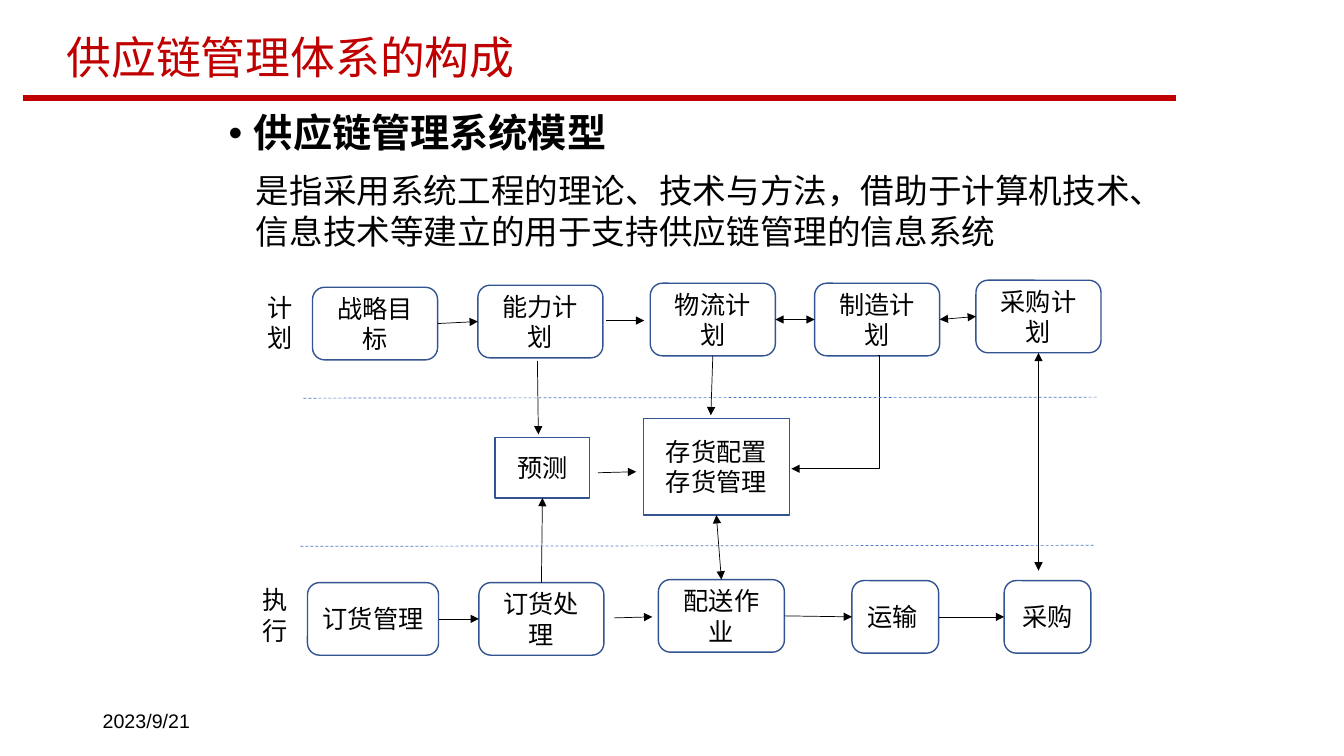
"""Build the slide on the makeup of a supply chain management system."""
from lxml import etree
from pptx import Presentation
from pptx.dml.color import RGBColor
from pptx.enum.dml import MSO_LINE
from pptx.enum.shapes import MSO_CONNECTOR, MSO_SHAPE
from pptx.enum.text import MSO_ANCHOR, MSO_AUTO_SIZE, PP_ALIGN
from pptx.oxml.ns import qn
from pptx.util import Pt

PX = 9144
STRAIGHT, ELBOW = MSO_CONNECTOR.STRAIGHT, MSO_CONNECTOR.ELBOW
ROUND, RECT = MSO_SHAPE.ROUNDED_RECTANGLE, MSO_SHAPE.RECTANGLE
MIDDLE, TOP = MSO_ANCHOR.MIDDLE, MSO_ANCHOR.TOP
CENTER, LEFT = PP_ALIGN.CENTER, PP_ALIGN.LEFT
GROW, FIXED = MSO_AUTO_SIZE.SHAPE_TO_FIT_TEXT, MSO_AUTO_SIZE.NONE
DASH = MSO_LINE.DASH
UP, WEST, DOWN, EAST = range(4)

CJK = "Noto Sans CJK SC"
BLACK, RED = RGBColor(0, 0, 0), RGBColor(0xC0, 0, 0)
THEME = {
    "edge": RGBColor(0x32, 0x54, 0x91),
    "split": RGBColor(0x44, 0x72, 0xC4),
    "title": {
        "font": {"name": CJK, "size": Pt(32)}, "color": RED,
        "frame": {"auto_size": GROW, "word_wrap": False, "vertical_anchor": TOP},
        "para": {"alignment": LEFT}},
    "head": {
        "font": {"name": CJK, "size": Pt(28), "bold": True}, "color": BLACK,
        "frame": {"auto_size": FIXED, "word_wrap": True, "vertical_anchor": TOP},
        "para": {"alignment": LEFT, "line_spacing": 0.9, "space_before": Pt(10)}},
    "body": {
        "font": {"name": "Times New Roman", "size": Pt(24)}, "color": BLACK,
        "frame": {"auto_size": GROW, "word_wrap": True, "vertical_anchor": TOP},
        "para": {"alignment": LEFT}},
    "date": {
        "font": {"name": "Arial", "size": Pt(14)}, "color": BLACK,
        "frame": {"auto_size": FIXED, "word_wrap": True, "vertical_anchor": MIDDLE},
        "para": {"alignment": LEFT}},
    "node": {
        "font": {"name": "Calibri", "size": Pt(18)}, "color": BLACK,
        "frame": {"auto_size": FIXED, "word_wrap": True, "vertical_anchor": MIDDLE},
        "para": {"alignment": CENTER}},
}

deck = Presentation()
deck.slide_width, deck.slide_height = 1333 * PX, 750 * PX
slide = deck.slides.add_slide(deck.slide_layouts[6])
shapes = slide.shapes


def write(shape, text, look):
    """Fill a shape with text in one of the theme looks."""
    style, frame = THEME[look], shape.text_frame
    frame.text = text
    for key, value in style["frame"].items():
        setattr(frame, key, value)
    for para in frame.paragraphs:
        for key, value in style["para"].items():
            setattr(para, key, value)
        for run in para.runs:
            run.font.color.rgb = style["color"]
            for key, value in style["font"].items():
                setattr(run.font, key, value)
            etree.SubElement(run.font._element, qn("a:ea"), typeface=CJK)


def draw(kind, ends, color, width, heads=()):
    """Draw a connector with triangle heads at the named ends."""
    wire = shapes.add_connector(kind, *[n * PX for n in ends])
    wire.line.color.rgb, wire.line.width = color, Pt(width)
    for head in heads:
        etree.SubElement(wire.line._get_or_add_ln(), qn(f"a:{head}"), type="triangle")
    etree.SubElement(wire._element.spPr, qn("a:effectLst"))
    return wire


labels = [
    ("供应链管理系统模型", "head", (217, 108, 930, 66)),
    ("2023/9/21", "date", (92, 695, 300, 40)),
    ("计划", "node", (255, 262, 46, 116)),
    ("执行", "node", (250, 550, 46, 120)),
    ("是指采用系统工程的理论、技术与方法，借助于计算机技术、"
     "信息技术等建立的用于支持供应链管理的信息系统", "body", (244, 164, 900, 91)),
    ("供应链管理体系的构成", "title", (56, 25, 469, 64)),
]
for text, look, spot in labels:
    box = shapes.add_textbox(*[n * PX for n in spot])
    write(box, text, look)
    if look == "head":
        props = box.text_frame.paragraphs[0]._p.get_or_add_pPr()
        props.set("marL", str(25 * PX))
        props.set("indent", str(-25 * PX))
        etree.SubElement(props, qn("a:buFont"), typeface="Arial")
        etree.SubElement(props, qn("a:buChar"), char="•")

nodes = {
    "goal": ("战略目标", ROUND, (310, 285, 124, 72)),
    "skill": ("能力计划", ROUND, (474, 283, 124, 72)),
    "flow": ("物流计划", ROUND, (645, 281, 124, 72)),
    "make": ("制造计划", ROUND, (808, 281, 124, 72)),
    "plan": ("采购计划", ROUND, (968, 278, 124, 72)),
    "buy": ("采购", ROUND, (996, 576, 86, 72)),
    "ship": ("运输 ", ROUND, (845, 576, 86, 72)),
    "send": ("配送作业", ROUND, (653, 575, 125, 72)),
    "handle": ("订货处理", ROUND, (475, 578, 124, 72)),
    "order": ("订货管理", ROUND, (305, 578, 130, 72)),
    "guess": ("预测", RECT, (491, 434, 94, 60)),
    "stock": ("存货配置\n存货管理", RECT, (638, 415, 145, 96)),
}
boxes = {}
for name, (text, form, spot) in nodes.items():
    box = boxes[name] = shapes.add_shape(form, *[n * PX for n in spot])
    box.shadow.inherit = False
    box.fill.background()
    box.line.color.rgb, box.line.width = THEME["edge"], Pt(1)
    write(box, text, "node")

ONE, BOTH = ("tailEnd",), ("headEnd", "tailEnd")
links = [
    ((434, 321, 473, 320), ONE, ("goal", EAST), ("skill", WEST)),
    ((601, 318, 639, 318), ONE, None, None),
    ((770, 316, 808, 315), BOTH, ("flow", EAST), ("make", WEST)),
    ((932, 318, 970, 318), BOTH, ("make", EAST), ("plan", WEST)),
    ((533, 358, 534, 431), ONE, None, None),
    ((705, 352, 705, 412), ONE, ("flow", DOWN), None),
    ((593, 469, 631, 468), ONE, None, None),
    ((1029, 349, 1030, 566), BOTH, ("plan", DOWN), None),
    ((435, 618, 473, 617), ONE, ("order", EAST), ("handle", WEST)),
    ((609, 613, 647, 612), ONE, None, None),
    ((777, 611, 844, 612), ONE, ("send", EAST), ("ship", WEST)),
    ((930, 612, 997, 613), ONE, ("ship", EAST), ("buy", WEST)),
    ((538, 578, 537, 493), ONE, ("handle", UP), ("guess", DOWN)),
    ((709, 512, 711, 576), BOTH, ("stock", DOWN), ("send", UP)),
]
for ends, heads, start, stop in links:
    wire = draw(STRAIGHT, ends, BLACK, 0.5, heads)
    if start:
        wire.begin_connect(boxes[start[0]], start[1])
    if stop:
        wire.end_connect(boxes[stop[0]], stop[1])

bend = draw(ELBOW, (871, 353, 785, 465), BLACK, 0.5, ONE)
guides = bend._element.spPr.find(qn("a:prstGeom")).find(qn("a:avLst"))
etree.SubElement(guides, qn("a:gd"), name="adj1", fmla="val -1900")

for ends in ((301, 395, 1088, 394), (298, 542, 1085, 541)):
    draw(STRAIGHT, ends, THEME["split"], 0.5).line.dash_style = DASH
draw(STRAIGHT, (23, 97, 1166, 97), RED, 4.5)

deck.save("out.pptx")
